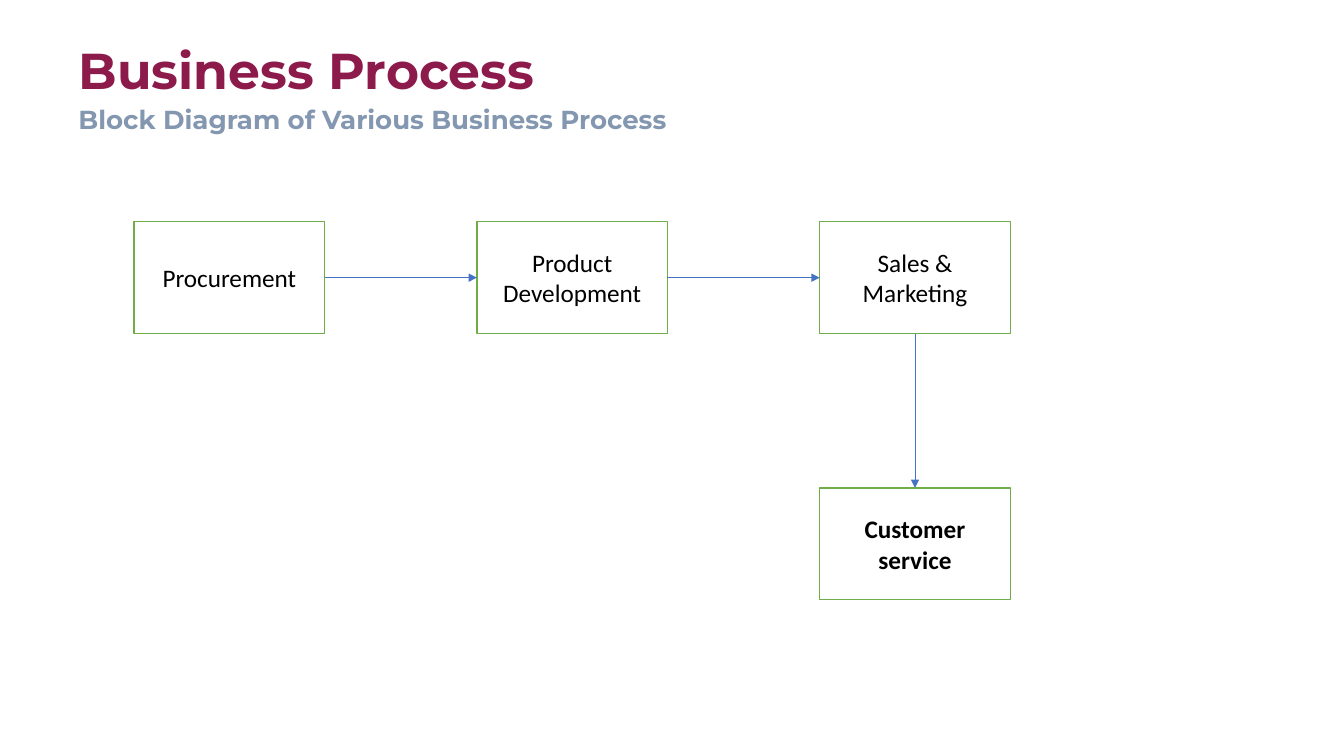
from pptx import Presentation
from pptx import util as u
from pptx.dml.color import RGBColor
from pptx.enum import shapes, text
from pptx.oxml.ns import qn
from lxml import etree

# Content
HEADS = [  # wording, top, height, anchor, line spacing, format
    ("Business Process", 0.13, 0.92, "BOTTOM", 0.9,
     dict(name="Montserrat", size=u.Pt(36), bold=True, color="8C1A4B")),
    ("Block Diagram of Various Business Process", 1.05, 0.33, "MIDDLE", 0.7,
     dict(name="Montserrat", size=u.Pt(18.6), bold=True, color="8497B0")),
]
STEPS = [  # wording, column, row, bold
    ("Procurement", 0, 0, False),
    ("Product Development", 1, 0, False),
    ("Sales & Marketing", 2, 0, False),
    ("Customer service", 2, 1, True),
]
TOP, LEFT, BOTTOM, RIGHT = range(4)  # connection sites of a rectangle
LINKS = [(0, RIGHT, 1, LEFT), (1, RIGHT, 2, LEFT), (2, BOTTOM, 3, TOP)]

# Grid
LEFT_X, TOP_Y = 1.33, 2.2
STEP_X, STEP_Y = 3.4, 2.64
BOX_W, BOX_H = 1.89, 1.11


def rgb(code):
    return RGBColor.from_string(code)


def write(shape, words, anchor, align, style, spacing=1.0):
    frame = shape.text_frame
    frame.word_wrap = True
    frame.auto_size = text.MSO_AUTO_SIZE.NONE
    frame.vertical_anchor = text.MSO_ANCHOR[anchor]
    para = frame.paragraphs[0]
    para.alignment = text.PP_ALIGN[align]
    para.line_spacing = spacing
    para.space_before = u.Pt(0)
    run = para.add_run()
    run.text = words
    for key, value in style.items():
        if key == "color":
            run.font.color.rgb = rgb(value)
        else:
            setattr(run.font, key, value)


deck = Presentation()
deck.slide_width, deck.slide_height = u.Inches(13.33), u.Inches(7.5)
slide = deck.slides.add_slide(deck.slide_layouts[5])

# Title and subtitle
area = [u.Inches(n) for n in (0.68, 1.05, 11.87, 0.33)]
heads = [slide.shapes.title, slide.shapes.add_textbox(*area)]
for shape, (words, top, height, anchor, spacing, style) in zip(heads, HEADS):
    shape.left, shape.width = u.Inches(0.68), u.Inches(11.87)
    shape.top, shape.height = u.Inches(top), u.Inches(height)
    write(shape, words, anchor, "LEFT", style, spacing)

# Process boxes
boxes = []
for words, col, row, bold in STEPS:
    box = slide.shapes.add_shape(
        shapes.MSO_SHAPE.RECTANGLE,
        u.Inches(LEFT_X + col * STEP_X), u.Inches(TOP_Y + row * STEP_Y),
        u.Inches(BOX_W), u.Inches(BOX_H))
    box.shadow.inherit = False
    box.fill.solid()
    box.fill.fore_color.rgb = rgb("FFFFFF")
    box.line.color.rgb = rgb("70AD47")
    box.line.width = u.Pt(1)
    write(box, words, "MIDDLE", "CENTER",
          dict(name="Calibri", size=u.Pt(18), bold=bold, color="000000"))
    boxes.append(box)

# Arrows between the boxes
for start, exit_site, end, entry_site in LINKS:
    arrow = slide.shapes.add_connector(shapes.MSO_CONNECTOR.STRAIGHT, 0, 0, 0, 0)
    arrow.begin_connect(boxes[start], exit_site)
    arrow.end_connect(boxes[end], entry_site)
    arrow.line.color.rgb = rgb("4472C4")
    arrow.line.width = u.Pt(0.5)
    etree.SubElement(arrow.line._get_or_add_ln(), qn("a:tailEnd"), type="triangle")
    etree.SubElement(arrow._element.spPr, qn("a:effectLst"))

deck.save("out.pptx")
